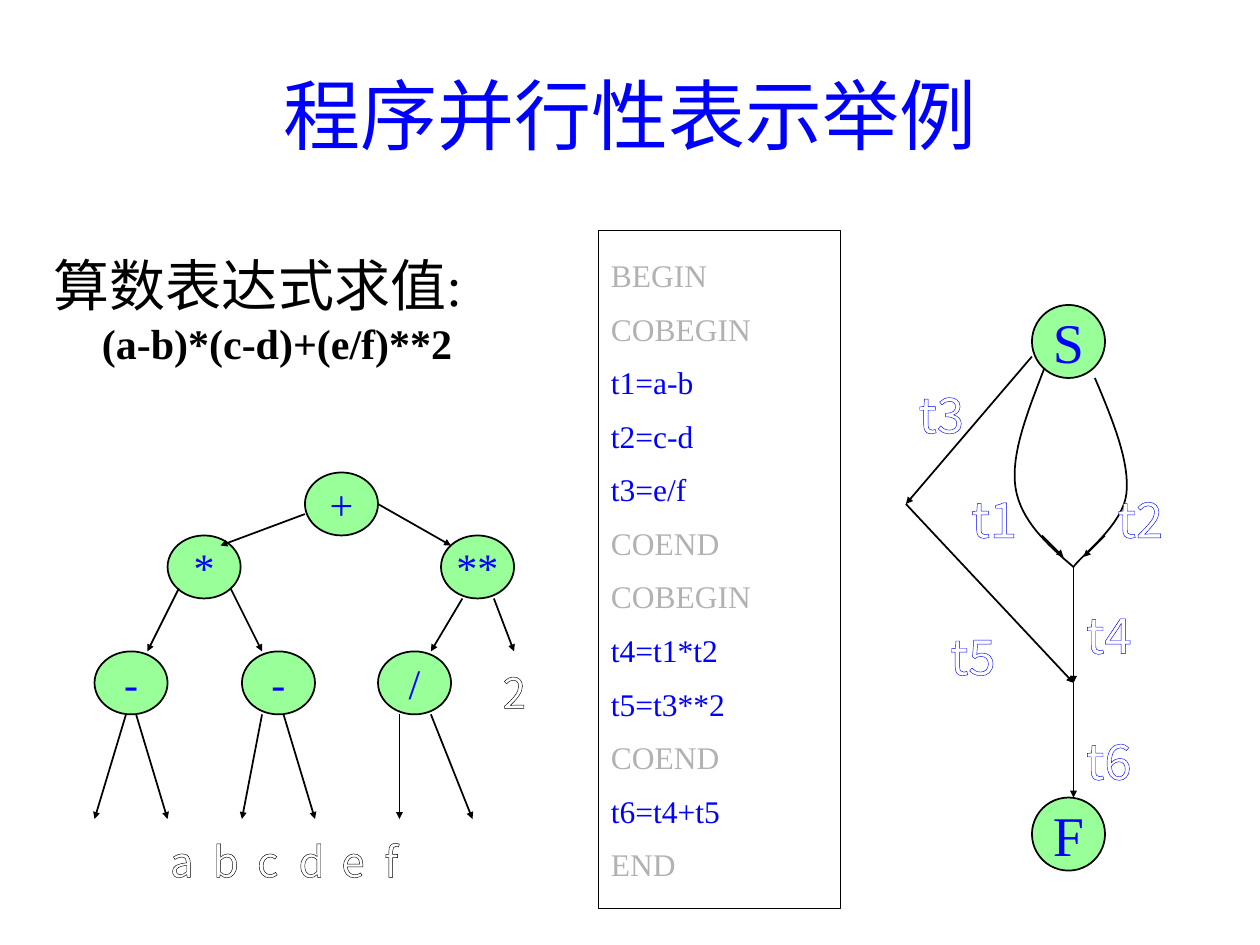
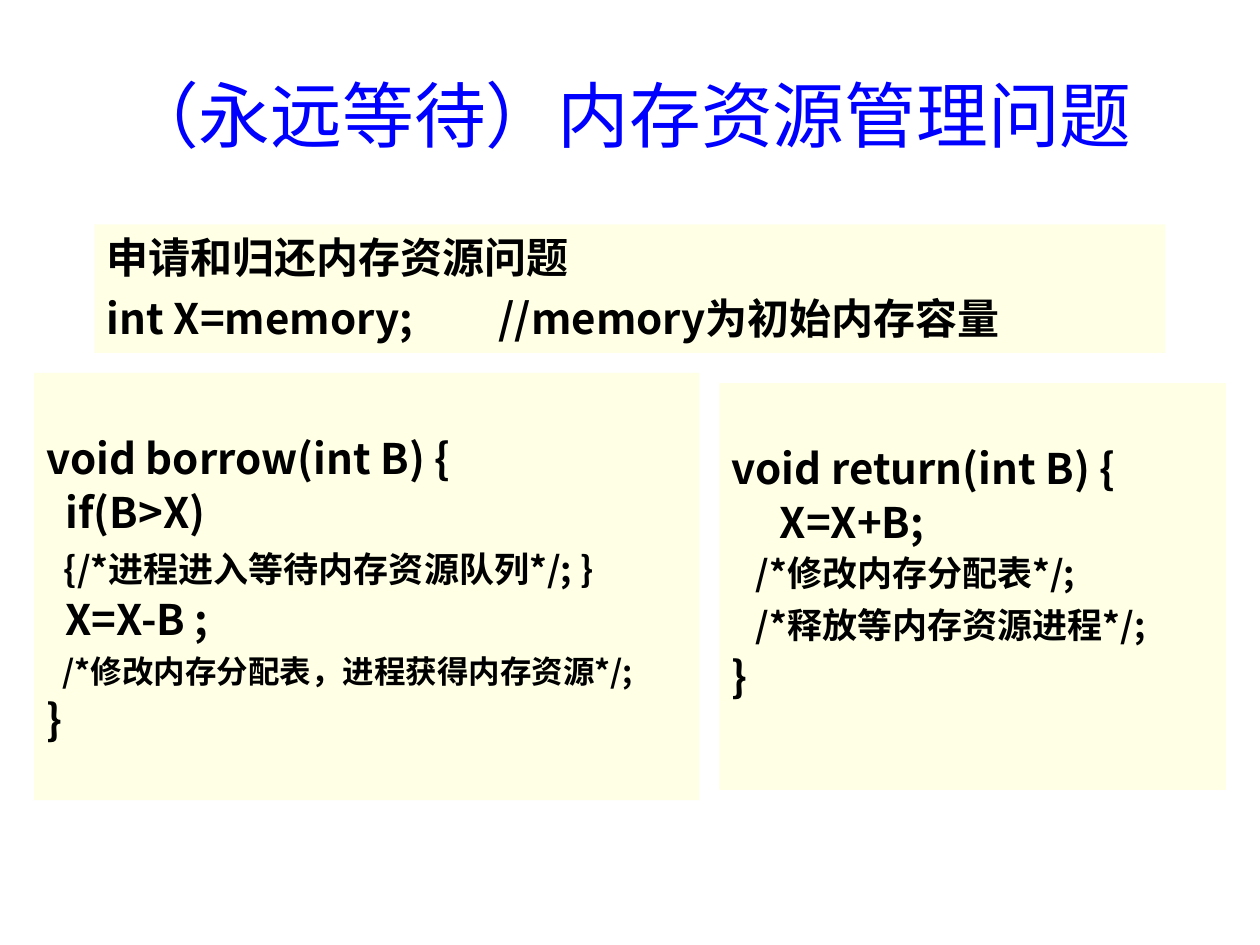
from lxml import etree
from pptx import Presentation
from pptx.dml.color import RGBColor
from pptx.enum import shapes, text
from pptx.oxml import ns
from pptx.util import Inches, Pt

BLUE, BLACK, WHITE, GREY = "0000FF", "000000", "FFFFFF", "B2B2B2"
GREEN, CREAM = "99FF99", "FEFFE5"
SERIF, SANS = "Times New Roman", "Noto Sans CJK SC"
CENTER = text.PP_ALIGN.CENTER
MIDDLE = text.MSO_ANCHOR.MIDDLE


def rgb(value):
    return RGBColor.from_string(value)


def sub(parent, tag, **attrs):
    return etree.SubElement(parent, ns.qn(tag), attrs)


def add_run(p, words, size, color=BLACK, font=SERIF, bold=False, outline=None):
    r = p.add_run()
    r.text = words
    r.font.size = Pt(size)
    r.font.bold = bold
    r.font.color.rgb = rgb(color)
    r.font.name = font
    rPr = r.font._element
    ea = etree.Element(ns.qn("a:ea"), typeface=SANS)
    rPr.find(ns.qn("a:latin")).addnext(ea)
    if outline:
        ln = etree.Element(ns.qn("a:ln"), w=str(Pt(0.75)))
        sub(sub(ln, "a:solidFill"), "a:srgbClr", val=outline)
        rPr.insert(0, ln)


def add_tab_stop(p, pos):
    tabs = sub(p._p.get_or_add_pPr(), "a:tabLst")
    sub(tabs, "a:tab", pos=str(Inches(pos)), algn="l")


def next_paragraph(tf, first):
    return tf.paragraphs[0] if first else tf.add_paragraph()


def text_box(s, x, y, w, h, wrap=True):
    tf = s.shapes.add_textbox(Inches(x), Inches(y), Inches(w), Inches(h)).text_frame
    tf.word_wrap = wrap
    return tf


def add_title(s, words, size):
    tf = text_box(s, 0.75, 0.28, 8.5, 1.25)
    tf.vertical_anchor = MIDDLE
    p = tf.paragraphs[0]
    p.alignment = CENTER
    add_run(p, words, size, BLUE)


def add_panel(s, kind, x, y, w, h, fill=None, line=None):
    sp = s.shapes.add_shape(kind, Inches(x), Inches(y), Inches(w), Inches(h))
    sp.shadow.inherit = False
    if fill:
        sp.fill.solid()
        sp.fill.fore_color.rgb = rgb(fill)
    else:
        sp.fill.background()
    if line:
        sp.line.color.rgb = rgb(line)
        sp.line.width = Pt(1)
    else:
        sp.line.fill.background()
    return sp.text_frame


def add_node(s, words, x, y, w, h, size):
    tf = add_panel(s, shapes.MSO_SHAPE.OVAL, x, y, w, h, GREEN, BLACK)
    tf.word_wrap = False
    tf.vertical_anchor = MIDDLE
    p = tf.paragraphs[0]
    p.alignment = CENTER
    add_run(p, words, size, BLUE)


def add_label(s, words, x, y, w, h, size, outline):
    tf = text_box(s, x, y, w, h, wrap=False)
    tf.margin_left = tf.margin_right = tf.margin_bottom = 0
    tf.margin_top = Inches(0.05)
    p = tf.paragraphs[0]
    p.alignment = CENTER
    add_run(p, words, size, WHITE, SANS, outline=outline)


def add_arrow(s, x1, y1, x2, y2):
    c = s.shapes.add_connector(shapes.MSO_CONNECTOR.STRAIGHT,
                               Inches(x1), Inches(y1), Inches(x2), Inches(y2))
    c.line.color.rgb = rgb(BLACK)
    c.line.width = Pt(1)
    sub(c.line._get_or_add_ln(), "a:tailEnd", type="triangle", w="sm", len="sm")
    sub(c._element.spPr, "a:effectLst")


def bezier(p0, p1, p2, p3, steps=16):
    for i in range(1, steps + 1):
        t = i / steps
        u = 1 - t
        yield tuple(u**3 * a + 3 * u * u * t * b + 3 * u * t * t * c + t**3 * d
                    for a, b, c, d in zip(p0, p1, p2, p3))


def add_curve(s, x, y, points):
    pts = [(Inches(x + dx), Inches(y + dy)) for dx, dy in points]
    fb = s.shapes.build_freeform(*pts[0])
    for i in range(0, len(pts) - 1, 3):
        fb.add_line_segments(list(bezier(*pts[i:i + 4])), close=False)
    sp = fb.convert_to_shape()
    sp.shadow.inherit = False
    sp.fill.background()
    sp.line.color.rgb = rgb(BLACK)
    sp.line.width = Pt(1)


def add_expression(s, x, y, w, h):
    tf = text_box(s, x, y, w, h)
    tf.margin_top = Inches(0.11)
    p = tf.paragraphs[0]
    p.line_spacing = 0.9
    add_run(p, "算数表达式求值:", 32)
    p = tf.add_paragraph()
    p.space_before = Pt(2.5)
    p.line_spacing = 0.9
    p._p.get_or_add_pPr().set("marL", str(Inches(0.38)))
    add_run(p, "(a-b)*(c-d)+(e/f)**2", 24, bold=True)


def add_expression_tree(s, x, y):
    nodes = [("+", 1.67, 0), ("*", 0.58, 0.5), ("**", 2.75, 0.5),
             ("/", 2.25, 1.42), ("-", 1.17, 1.42), ("-", 0, 1.42)]
    for words, dx, dy in nodes:
        add_node(s, words, x + dx, y + dy, 0.58, 0.5, 24)
    branches = [(1.67, 0.33, 1, 0.58), (2.25, 0.25, 2.83, 0.58),
                (0.67, 0.92, 0.42, 1.42), (1.08, 0.92, 1.33, 1.42),
                (2.92, 1, 2.67, 1.42), (3.17, 1, 3.33, 1.42)]
    leaf_branches = [(0.25, 0), (0.33, 0.58), (1.33, 1.17),
                     (1.5, 1.75), (2.42, 2.42), (2.67, 3)]
    branches += [(top, 1.92, bottom, 2.75) for top, bottom in leaf_branches]
    for x1, y1, x2, y2 in branches:
        add_arrow(s, x + x1, y + y1, x + x2, y + y2)
    leaves = zip("abcdef", (0.6, 0.94, 1.29, 1.62, 1.96, 2.27))
    for letter, dx in leaves:
        add_label(s, letter, x + dx, y + 2.83, 0.17, 0.42, 24, BLACK)
    add_label(s, "2", x + 3.24, y + 1.49, 0.17, 0.34, 24, BLACK)


def add_listing(s, x, y, w, h):
    tf = add_panel(s, shapes.MSO_SHAPE.RECTANGLE, x, y, w, h, line=BLACK)
    tf.word_wrap = True
    tf.vertical_anchor = MIDDLE
    lines = ["BEGIN", "COBEGIN", "t1=a-b", "t2=c-d", "t3=e/f", "COEND",
             "COBEGIN", "t4=t1*t2", "t5=t3**2", "COEND", "t6=t4+t5", "END"]
    for i, words in enumerate(lines):
        p = next_paragraph(tf, i == 0)
        p.alignment = text.PP_ALIGN.LEFT
        if i:
            p.space_before = Pt(9)
        add_run(p, words, 18, BLUE if "=" in words else GREY)


def add_flow_graph(s, x, y):
    for words, dy in (("S", 0), ("F", 3.91)):
        add_node(s, words, x + 1, y + dy, 0.58, 0.58, 32)
    arrows = [(1, 0.41, 0, 1.58), (0, 1.58, 1.33, 3), (1.33, 2.08, 1.33, 3),
              (1.33, 3, 1.33, 3.91), (1.08, 1.83, 1.25, 2), (1.58, 1.83, 1.41, 2)]
    for x1, y1, x2, y2 in arrows:
        add_arrow(s, x + x1, y + y1, x + x2, y + y2)
    add_curve(s, x, y, [(1.1, 0.5), (0.97, 0.84), (0.83, 1.18), (0.87, 1.45),
                        (0.91, 1.71), (1.12, 1.9), (1.33, 2.08)])
    add_curve(s, x, y, [(1.5, 0.58), (1.64, 0.91), (1.78, 1.25), (1.75, 1.5),
                        (1.72, 1.75), (1.4, 1.98), (1.33, 2.08)])
    labels = [("t5", 0.33, 2.5), ("t1", 0.5, 1.41), ("t3", 0.08, 0.58),
              ("t2", 1.66, 1.41), ("t4", 1.41, 2.33), ("t6", 1.41, 3.33)]
    for words, dx, dy in labels:
        add_label(s, words, x + dx, y + dy, 0.4, 0.39, 28, BLUE)


def add_code(s, x, y, w, h, lines, top=0.52, spacing=0.9, gap=4.8, tab=0.38):
    tf = add_panel(s, shapes.MSO_SHAPE.RECTANGLE, x, y, w, h, CREAM)
    tf.word_wrap = True
    tf.vertical_anchor = text.MSO_ANCHOR.TOP
    tf.margin_top = Inches(top)
    for i, runs in enumerate(lines):
        p = next_paragraph(tf, i == 0)
        p.alignment = text.PP_ALIGN.LEFT
        p.line_spacing = spacing
        if i:
            p.space_before = Pt(gap)
        add_tab_stop(p, tab)
        for words, size in runs:
            add_run(p, words, size, font=SANS, bold=True)


def parallel_slide(prs):
    s = prs.slides.add_slide(prs.slide_layouts[6])
    add_title(s, "程序并行性表示举例", 44)
    add_expression_tree(s, 0.75, 3.75)
    add_listing(s, 4.75, 1.83, 1.92, 5.38)
    add_expression(s, 0.33, 1.94, 4.25, 1.2)
    add_flow_graph(s, 7.19, 2.42)


def memory_slide(prs):
    s = prs.slides.add_slide(prs.slide_layouts[6])
    add_title(s, "（永远等待）内存资源管理问题", 41)
    add_code(s, 0.75, 1.78, 8.5, 1.02, [
        [("申请和归还内存资源问题", 24)],
        [("int X=memory;\t//memory为初始内存容量", 24)],
    ], top=0.06, spacing=1.0, gap=5.6, tab=3.11)
    add_code(s, 0.27, 2.96, 5.28, 3.39, [
        [("void borrow(int B) {", 24)],
        [("  if(B>X)", 24)],
        [(" ", 24), (" {/*进程进入等待内存资源队列*/; }", 20)],
        [("  X=X-B ;", 24)],
        [("  ", 20), ("/*修改内存分配表，进程获得内存资源*/;", 18), (" ", 20)],
        [("}", 24)],
    ])
    add_code(s, 5.71, 3.04, 4.02, 3.23, [
        [("void return(int B) {", 24)],
        [("\tX=X+B;", 24)],
        [("   /*修改内存分配表*/;", 20)],
        [("   /*释放等内存资源进程*/;", 20), (" ", 24)],
        [("}", 24)],
    ])


def main():
    prs = Presentation()
    prs.slide_width, prs.slide_height = Inches(10), Inches(7.5)
    parallel_slide(prs)
    memory_slide(prs)
    prs.save("out.pptx")


if __name__ == "__main__":
    main()
